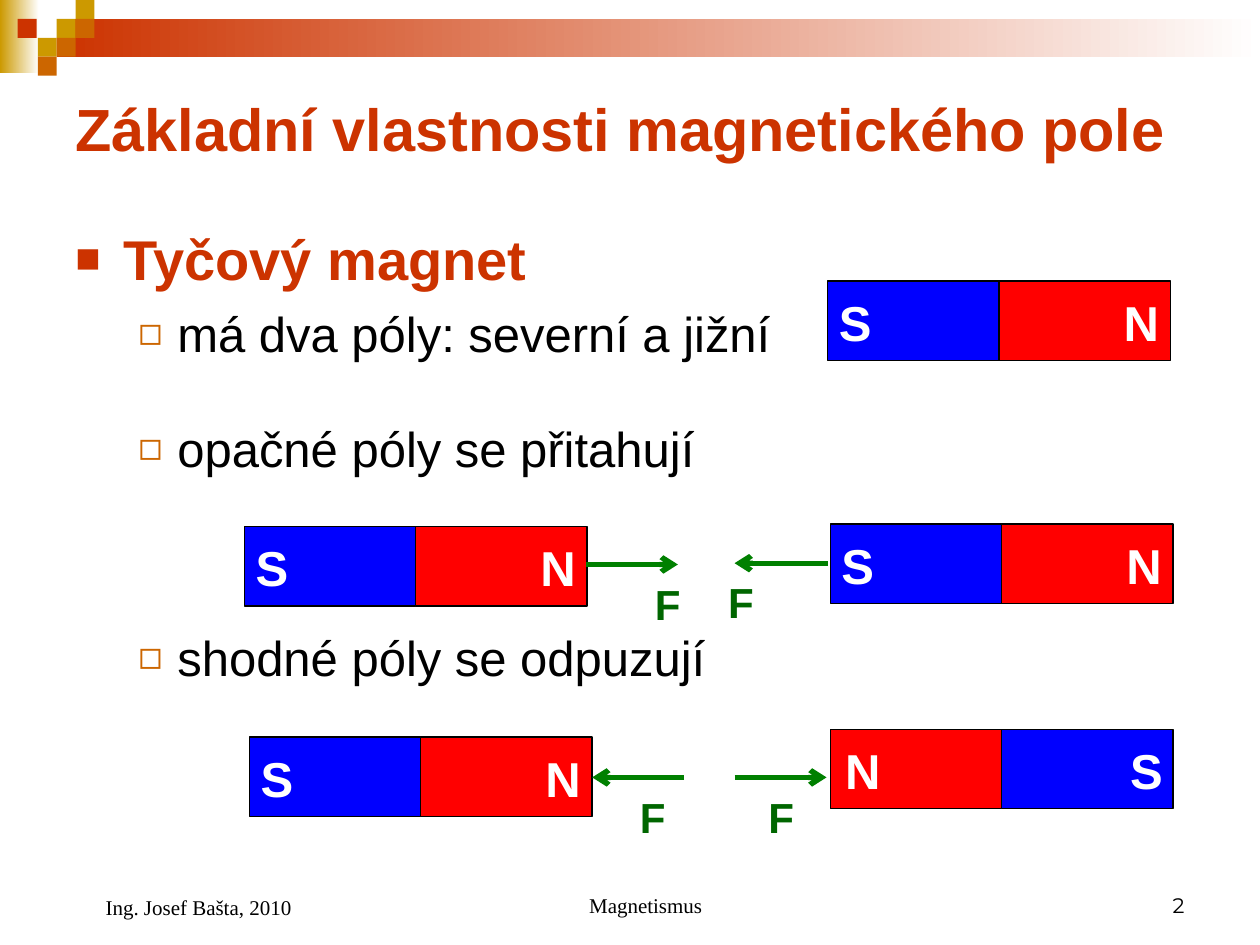
from dataclasses import dataclass

from lxml import etree
from pptx import Presentation
from pptx import util as u
from pptx.dml.color import RGBColor
from pptx.enum import shapes, text
from pptx.oxml import ns

RED, GOLD, ORANGE = "CC3300", "CC9900", "CC6600"
BLACK, WHITE = "000000", "FFFFFF"
POLE_FILL = {"S": "0000FF", "N": "FF0000"}
ARROW_GREEN, FORCE_GREEN = "008000", "006600"
TILE = 0.15
HALF_W, MAGNET_H = 1.36, 0.63


@dataclass
class Magnet:
    left: float
    top: float
    poles: str = "SN"
    label_dx: float = -0.01


@dataclass
class Force:
    start: float
    end: float
    y: float
    label_x: float


@dataclass
class Item:
    text: str
    size: float
    color: str
    bold: bool
    margin: float
    hanging: float
    bullet: str
    bullet_color: str
    bullet_pct: int
    before: float


@dataclass
class Footer:
    text: str
    left: float
    width: float
    height: float
    align: text.PP_ALIGN
    font: str = "Times New Roman"
    margin: float = 0.24


TILES = [(0.45, 0.15, GOLD), (0.6, 0, GOLD), (0.6, 0.15, ORANGE), (0.3, 0.3, GOLD),
         (0.14, 0.15, RED), (0.45, 0.3, ORANGE), (0.3, 0.45, ORANGE)]

MAGNETS = [
    Magnet(6.57, 2.23),
    Magnet(1.94, 4.18),
    Magnet(6.59, 4.16),
    Magnet(1.98, 5.85),
    Magnet(6.59, 5.79, "NS", 0.02),
]

FORCES = [
    Force(4.65, 5.38, 4.48, 5.1),
    Force(6.57, 5.83, 4.47, 5.68),
    Force(5.43, 4.7, 6.17, 4.98),
    Force(5.83, 6.56, 6.17, 6.0),
]


def sub_item(line: str, before: float) -> Item:
    return Item(line, 28, BLACK, False, 0.81, 0.31, "◻", ORANGE, 80, before)


ITEMS = [
    Item("Tyčový magnet", 32, RED, True, 0.38, 0.38, "■", RED, 75, 0),
    sub_item("má dva póly: severní a jižní", 7),
    sub_item("opačné póly se přitahují", 32),
    sub_item("shodné póly se odpuzují", 86),
]

FOOTERS = [
    Footer("Magnetismus", 3.42, 3.17, 0.5, text.PP_ALIGN.CENTER),
    Footer("2", 7.17, 2.33, 0.5, text.PP_ALIGN.RIGHT, "Montserrat", 0),
    Footer("Ing. Josef Bašta, 2010", 0.5, 2.33, 0.52, text.PP_ALIGN.LEFT),
]


def rgb(color: str) -> RGBColor:
    return RGBColor.from_string(color)


def add_rect(s, left: float, top: float, width: float, height: float):
    sp = s.shapes.add_shape(shapes.MSO_SHAPE.RECTANGLE, u.Inches(left), u.Inches(top),
                            u.Inches(width), u.Inches(height))
    sp.shadow.inherit = False
    sp.line.fill.background()
    return sp


def add_solid(s, left: float, top: float, width: float, height: float, color: str):
    sp = add_rect(s, left, top, width, height)
    sp.fill.solid()
    sp.fill.fore_color.rgb = rgb(color)
    return sp


def add_fade(s, left: float, top: float, width: float, height: float, color: str) -> None:
    """Band that fades from the colour on the left to white on the right."""
    fill = add_rect(s, left, top, width, height).fill
    fill.gradient()
    fill.gradient_angle = 0
    for stop, stop_color in zip(fill.gradient_stops, (color, WHITE)):
        stop.color.rgb = rgb(stop_color)


def add_frame(s, left: float, top: float, width: float, height: float,
              anchor=text.MSO_ANCHOR.TOP):
    tf = s.shapes.add_textbox(u.Inches(left), u.Inches(top), u.Inches(width),
                              u.Inches(height)).text_frame
    tf.word_wrap = True
    tf.vertical_anchor = anchor
    return tf


def write(p, line: str, size: float, color: str, bold: bool = False, font: str = "Arial") -> None:
    p.text = line
    r = p.runs[0]
    r.font.size = u.Pt(size)
    r.font.name = font
    r.font.bold = bold
    r.font.color.rgb = rgb(color)


def set_indent(p, margin: float, hanging: float = 0) -> None:
    pPr = p._p.get_or_add_pPr()
    pPr.set("marL", str(u.Inches(margin)))
    pPr.set("indent", str(-u.Inches(hanging)))


def set_bullet(p, char: str, color: str, pct: int) -> None:
    pPr = p._p.get_or_add_pPr()
    clr = etree.SubElement(pPr, ns.qn("a:buClr"))
    etree.SubElement(clr, ns.qn("a:srgbClr"), val=color)
    etree.SubElement(pPr, ns.qn("a:buSzPct"), val=str(pct * 1000))
    etree.SubElement(pPr, ns.qn("a:buFont"), typeface="Arial")
    etree.SubElement(pPr, ns.qn("a:buChar"), char=char)


def add_items(s, items: list[Item]) -> None:
    tf = add_frame(s, 0.5, 1.73, 9, 4.88)
    for i, item in enumerate(items):
        p = tf.add_paragraph() if i else tf.paragraphs[0]
        set_indent(p, item.margin, item.hanging)
        set_bullet(p, item.bullet, item.bullet_color, item.bullet_pct)
        if item.before:
            p.space_before = u.Pt(item.before)
        write(p, item.text, item.size, item.color, item.bold)


def add_magnet(s, m: Magnet) -> None:
    for i, pole in enumerate(m.poles):
        half = add_solid(s, m.left + i * HALF_W, m.top, HALF_W, MAGNET_H, POLE_FILL[pole])
        half.line.color.rgb = rgb(BLACK)
        half.line.width = u.Pt(0.75)
    for i, pole in enumerate(m.poles):
        tf = add_frame(s, m.left + m.label_dx + i * 2.26, m.top + 0.04, 0.45, 0.57)
        write(tf.paragraphs[0], pole, 28, WHITE, True)


def add_force(s, f: Force) -> None:
    arrow = s.shapes.add_connector(shapes.MSO_CONNECTOR.STRAIGHT, u.Inches(f.start), u.Inches(f.y),
                                   u.Inches(f.end), u.Inches(f.y))
    arrow.line.color.rgb = rgb(ARROW_GREEN)
    arrow.line.width = u.Pt(3)
    etree.SubElement(arrow.line._get_or_add_ln(), ns.qn("a:tailEnd"), type="arrow")
    etree.SubElement(arrow._element.spPr, ns.qn("a:effectLst"))
    tf = add_frame(s, f.label_x, f.y + 0.06, 0.43, 0.5)
    write(tf.paragraphs[0], "F", 24, FORCE_GREEN, True)


def add_footer(s, f: Footer) -> None:
    p = add_frame(s, f.left, 6.83, f.width, f.height, text.MSO_ANCHOR.BOTTOM).paragraphs[0]
    p.alignment = f.align
    set_indent(p, f.margin)
    write(p, f.text, 12, BLACK, font=f.font)


def main() -> None:
    prs = Presentation()
    prs.slide_width, prs.slide_height = u.Inches(10), u.Inches(7.5)
    s = prs.slides.add_slide(prs.slide_layouts[6])

    add_fade(s, 0, 0, 0.31, 0.58, GOLD)
    add_fade(s, 0.45, 0.15, 9.55, 0.3, RED)
    for left, top, color in TILES:
        add_solid(s, left, top, TILE, TILE, color)

    title = add_frame(s, 0.5, 0.5, 9, 1.03, text.MSO_ANCHOR.MIDDLE)
    write(title.paragraphs[0], "Základní vlastnosti magnetického pole", 34, RED, True)
    add_items(s, ITEMS)
    for magnet in MAGNETS:
        add_magnet(s, magnet)
    for force in FORCES:
        add_force(s, force)
    for footer in FOOTERS:
        add_footer(s, footer)
    prs.save("out.pptx")


if __name__ == "__main__":
    main()
